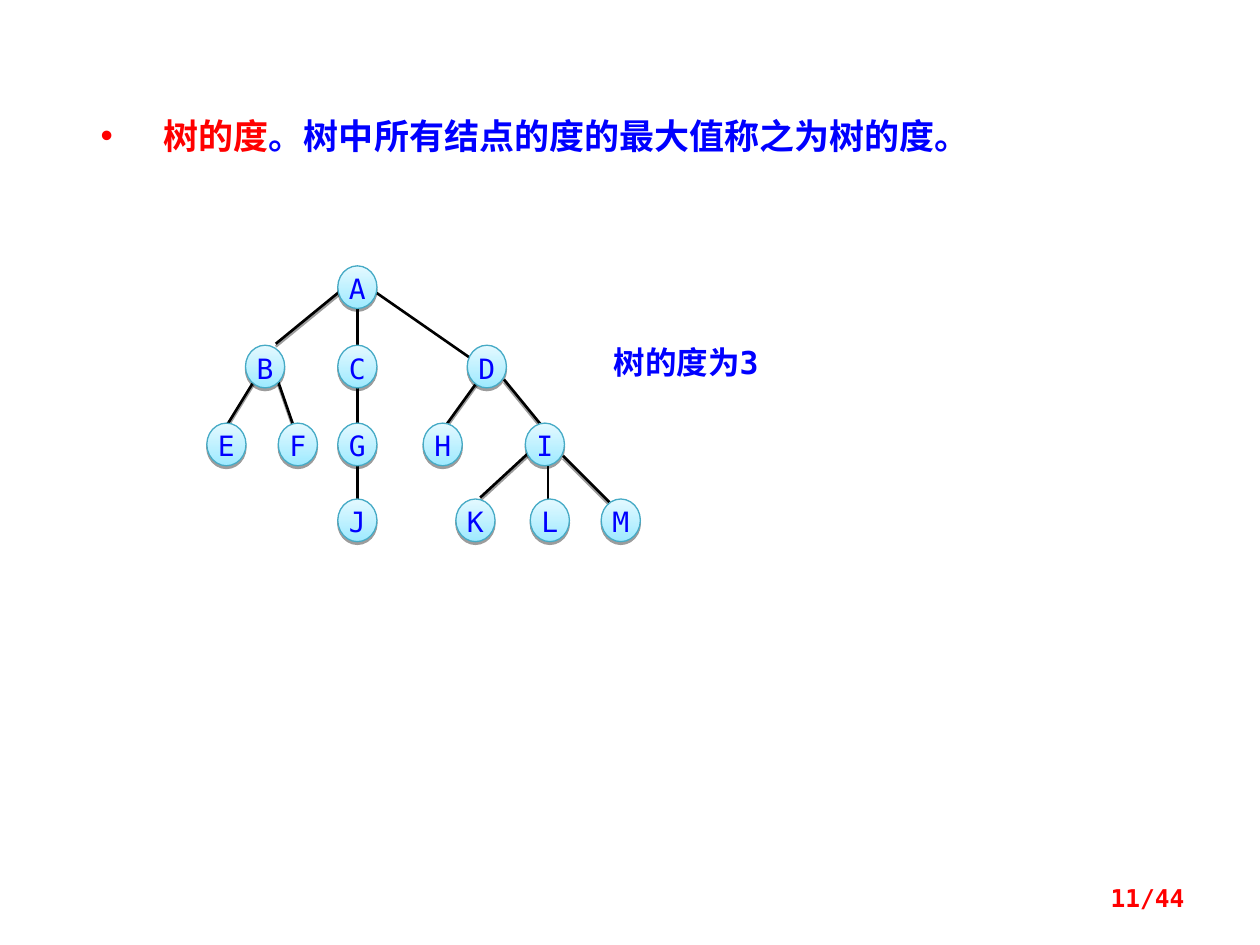
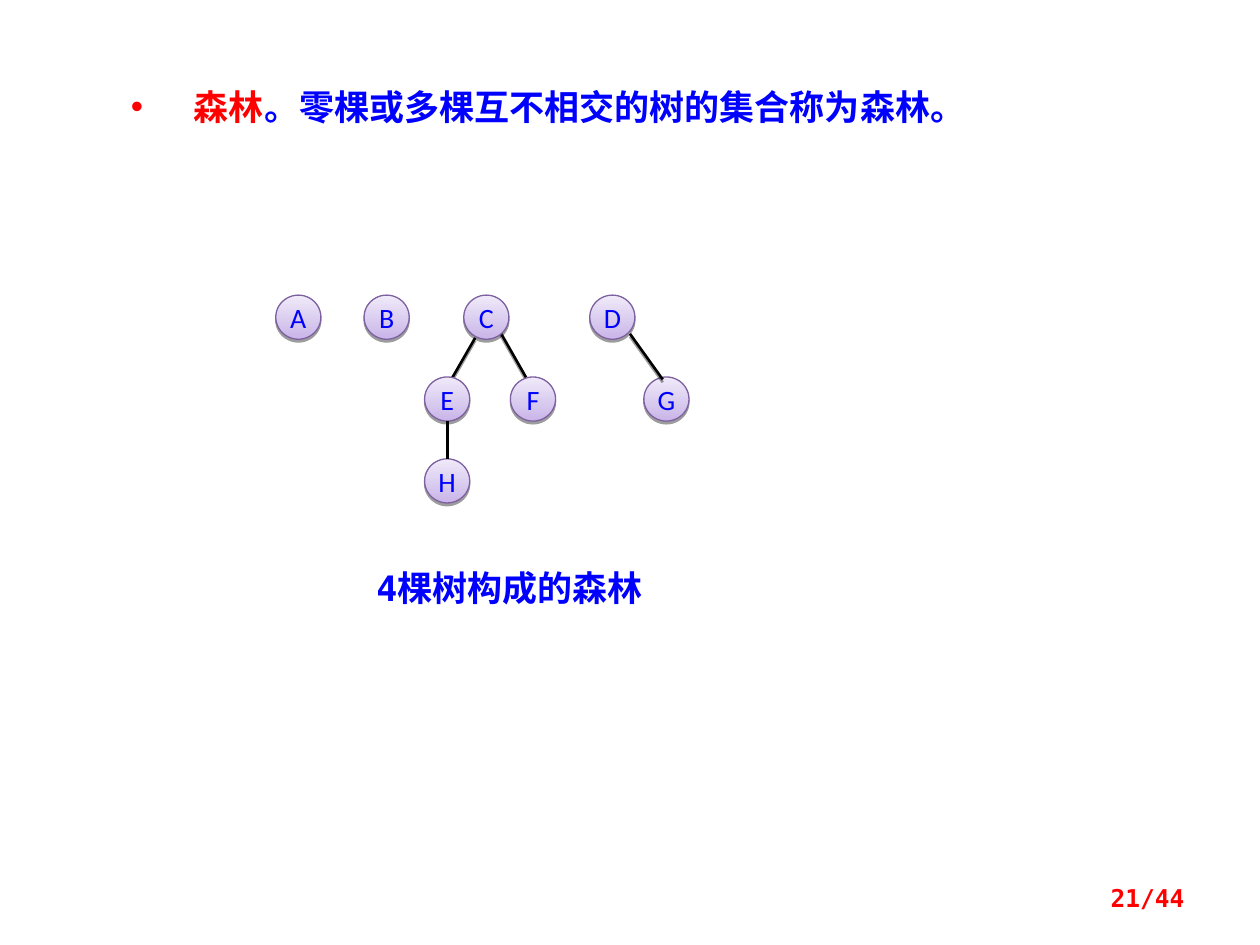
from dataclasses import dataclass

from lxml import etree
from pptx import Presentation
from pptx import util as u
from pptx.dml.color import RGBColor
from pptx.enum import shapes, text
from pptx.oxml.ns import qn


@dataclass(frozen=True)
class Theme:
    blue: str = "0000FF"
    red: str = "FF0000"
    black: str = "000000"
    mono: str = "DejaVu Sans Mono"
    chinese: str = "Noto Sans CJK SC"
    heading: int = 20
    caption: int = 18
    label: int = 16
    footer: int = 14
    edge_width: float = 1.5
    outline_width: float = 0.75


@dataclass(frozen=True)
class NodeStyle:
    size: tuple
    bottom_color: str
    top_color: str
    outline: str
    font: str
    anchor: text.MSO_ANCHOR
    line_spacing: object = None


THEME = Theme()
CYAN = NodeStyle((0.79, 0.86), "9EEAFF", "E4F9FF", "46AAC5", THEME.mono,
                 text.MSO_ANCHOR.TOP, u.Pt(19))
PURPLE = NodeStyle((0.91, 0.89), "C9B5E8", "F0EAF9", "7D60A0", "Calibri",
                   text.MSO_ANCHOR.MIDDLE)


class Deck:
    def __init__(self, theme):
        self.theme = theme
        self.presentation = Presentation()
        self.presentation.slide_width = u.Cm(25.4)
        self.presentation.slide_height = u.Cm(19.05)
        self.slide = None

    def add_slide(self, number):
        self.slide = self.presentation.slides.add_slide(self.presentation.slide_layouts[6])
        footer = self.text_box((18.21, 17.65, 5.92, 1.02), [(f"{number}/44", self.theme.red)],
                               self.theme.footer, line_spacing=0.8)
        footer.text_frame.vertical_anchor = text.MSO_ANCHOR.MIDDLE
        footer.text_frame.paragraphs[0].alignment = text.PP_ALIGN.RIGHT

    def format_run(self, run, size, color, font, bold):
        run.font.size = u.Pt(size)
        run.font.bold = bold
        run.font.color.rgb = RGBColor.from_string(color)
        run.font.name = font
        properties = run._r.get_or_add_rPr()
        etree.SubElement(properties, qn("a:ea"), typeface=self.theme.chinese)

    def text_box(self, box, parts, size, line_spacing=None):
        shape = self.slide.shapes.add_textbox(*map(u.Cm, box))
        shape.text_frame.word_wrap = True
        paragraph = shape.text_frame.paragraphs[0]
        paragraph.line_spacing = line_spacing
        for words, color in parts:
            run = paragraph.add_run()
            run.text = words
            self.format_run(run, size, color, self.theme.mono, True)
        return shape

    def definition(self, box, term, meaning):
        shape = self.text_box(box, [(term, self.theme.red), (meaning, self.theme.blue)],
                              self.theme.heading)
        properties = shape.text_frame.paragraphs[0]._p.get_or_add_pPr()
        properties.set("marL", str(u.Cm(1.27)))
        properties.set("indent", str(-u.Cm(1.27)))
        bullet_color = etree.SubElement(properties, qn("a:buClr"))
        etree.SubElement(bullet_color, qn("a:srgbClr"), val=self.theme.red)
        etree.SubElement(properties, qn("a:buFont"), typeface="Arial")
        etree.SubElement(properties, qn("a:buChar"), char="•")

    def caption(self, box, words, size, line_spacing=None):
        self.text_box(box, [(words, self.theme.blue)], size, line_spacing)

    def set_shadow(self, shape, visible):
        properties = shape._element.spPr
        effects = properties.find(qn("a:effectLst"))
        if effects is None:
            effects = etree.SubElement(properties, qn("a:effectLst"))
        if visible:
            shadow = etree.SubElement(effects, qn("a:outerShdw"), blurRad="0",
                                      dist=str(u.Pt(1.6)), dir="5400000", rotWithShape="0")
            color = etree.SubElement(shadow, qn("a:srgbClr"), val=self.theme.black)
            etree.SubElement(color, qn("a:alpha"), val="38000")

    def edges(self, ends, shadow):
        for points in ends:
            connector = self.slide.shapes.add_connector(
                shapes.MSO_CONNECTOR.STRAIGHT, *map(u.Cm, points))
            connector.line.color.rgb = RGBColor.from_string(self.theme.black)
            connector.line.width = u.Pt(self.theme.edge_width)
            self.set_shadow(connector, shadow)

    def node(self, label, left, top, style):
        shape = self.slide.shapes.add_shape(
            shapes.MSO_SHAPE.OVAL, *map(u.Cm, (left, top, *style.size)))
        shape.fill.gradient()
        shape.fill.gradient_angle = 90
        stops = shape.fill.gradient_stops
        for stop, color in zip(stops, (style.bottom_color, style.top_color)):
            stop.color.rgb = RGBColor.from_string(color)
        stops[0].position, stops[1].position = 0, 1
        shape.line.color.rgb = RGBColor.from_string(style.outline)
        shape.line.width = u.Pt(self.theme.outline_width)
        shape.shadow.inherit = False
        self.set_shadow(shape, True)
        frame = shape.text_frame
        frame.margin_left = frame.margin_right = frame.margin_top = frame.margin_bottom = 0
        frame.vertical_anchor = style.anchor
        frame.word_wrap = False
        frame.text = label
        paragraph = frame.paragraphs[0]
        paragraph.alignment = text.PP_ALIGN.CENTER
        paragraph.line_spacing = style.line_spacing
        self.format_run(paragraph.runs[0], self.theme.label, self.theme.blue, style.font, False)

    def nodes(self, levels, style):
        for top, lefts in levels.items():
            for label, left in lefts.items():
                self.node(label, left, top, style)


def build_degree_slide(deck):
    deck.add_slide(11)
    deck.definition((1.78, 2.18, 18.26, 1.12), "树的度", "。树中所有结点的度的最大值称之为树的度。")
    deck.caption((12.12, 6.93, 6.15, 0.86), "树的度为3", deck.theme.caption, 0.8)
    deck.edges([
        (6.83, 5.89, 5.56, 6.93),
        (5.11, 7.7, 4.55, 8.61),
        (5.61, 7.7, 5.97, 8.74),
        (9.7, 7.59, 8.94, 8.64),
        (10.16, 7.65, 10.97, 8.64),
        (10.72, 9.07, 9.68, 10.03),
        (11.35, 9.19, 12.29, 10.13),
    ], shadow=True)
    deck.edges([
        (7.21, 6.15, 7.21, 10.19),
        (11.05, 9.37, 11.05, 10.19),
        (7.57, 5.89, 9.47, 7.21),
    ], shadow=False)
    trunk = 6.81
    deck.nodes({
        5.36: {"A": trunk},
        6.96: {"B": 4.95, "C": trunk, "D": 9.42},
        8.53: {"E": 4.17, "F": 5.61, "G": trunk, "H": 8.53, "I": 10.59},
        10.06: {"J": trunk, "K": 9.19, "L": 10.69, "M": 12.12},
    }, CYAN)


def build_forest_slide(deck):
    deck.add_slide(21)
    deck.definition((2.39, 1.6, 21.16, 1.12), "森林", "。零棵或多棵互不相交的树的集合称为森林。")
    deck.edges([(9.58, 6.81, 9.04, 7.75), (10.06, 6.65, 10.64, 7.67)], shadow=True)
    deck.nodes({
        5.95: {"A": 5.56, "B": 7.34, "C": 9.35, "D": 11.89},
        7.6: {"E": 8.56, "F": 10.29, "G": 12.98},
        9.25: {"H": 8.56},
    }, PURPLE)
    deck.edges([(12.7, 6.73, 13.36, 7.65)], shadow=True)
    deck.edges([(9.02, 8.49, 9.02, 9.25)], shadow=False)
    deck.caption((7.34, 11.3, 7.34, 1.12), "4棵树构成的森林", deck.theme.heading)


def main():
    deck = Deck(THEME)
    build_degree_slide(deck)
    build_forest_slide(deck)
    deck.presentation.save("out.pptx")


if __name__ == "__main__":
    main()
